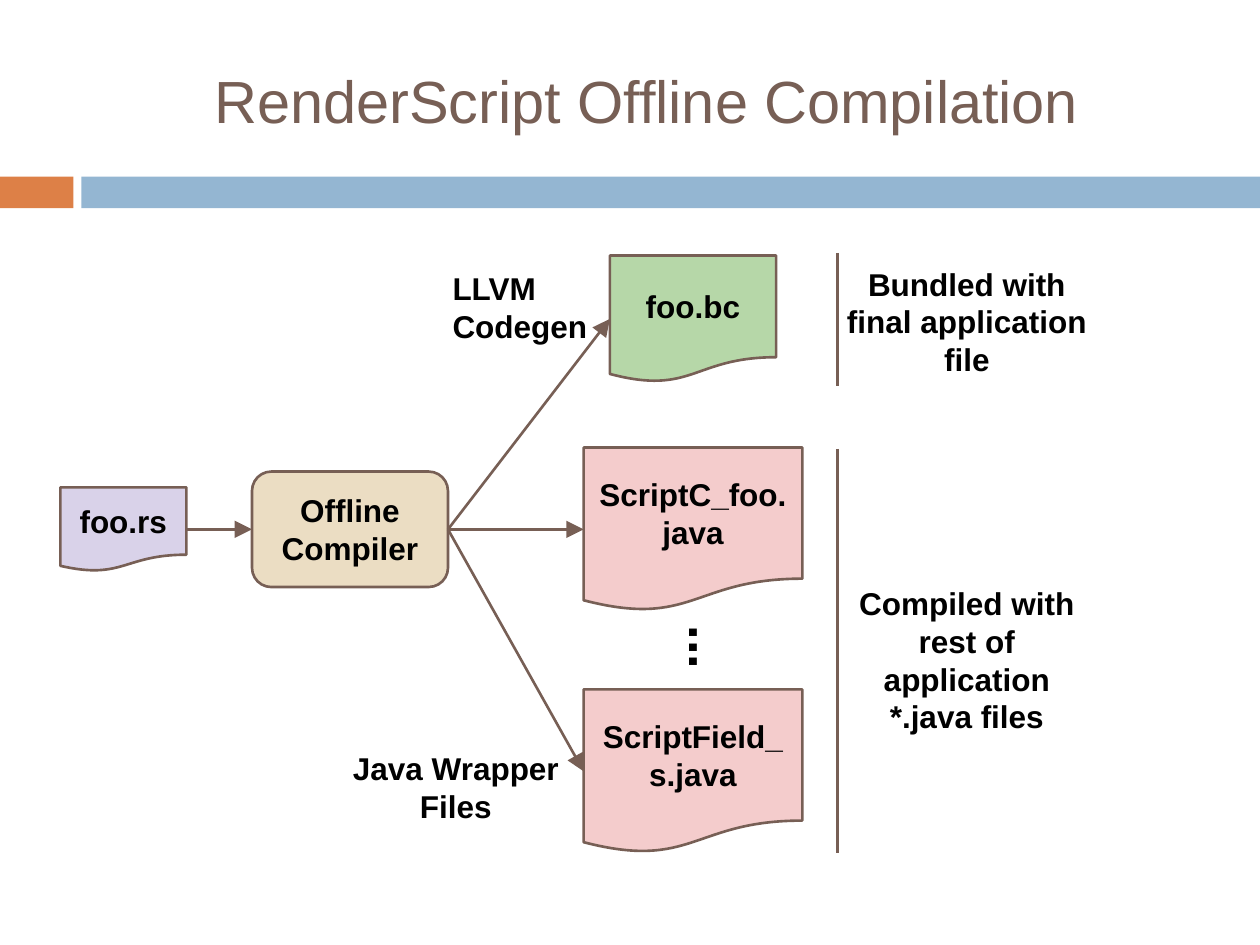
from pptx import Presentation
from pptx.dml.color import RGBColor
from pptx.enum.shapes import MSO_CONNECTOR, MSO_SHAPE
from pptx.enum.text import MSO_ANCHOR, PP_ALIGN
from pptx.oxml.ns import qn
from pptx.util import Pt
from lxml import etree

RECTANGLE = MSO_SHAPE.RECTANGLE
ROUNDED = MSO_SHAPE.ROUNDED_RECTANGLE
DOCUMENT = MSO_SHAPE.FLOWCHART_DOCUMENT
STRAIGHT = MSO_CONNECTOR.STRAIGHT
LEFT, CENTER = PP_ALIGN.LEFT, PP_ALIGN.CENTER
TOP, MIDDLE = MSO_ANCHOR.TOP, MSO_ANCHOR.MIDDLE
LEFT_SITE, RIGHT_SITE = 1, 3

SLIDE_WIDTH, SLIDE_HEIGHT = 720, 540
INSET = 7.2
OUTLINE = 1.5

COLORS = {
    "outline": "775F55",
    "title": "775F55",
    "accent": "DD8047",
    "band": "94B6D2",
    "text": "000000",
    "source": "D9D2E9",
    "compiler": "EBDDC3",
    "bitcode": "B6D7A8",
    "java": "F4CCCC",
}


def rgb(name):
    return RGBColor.from_string(COLORS[name])


def write(shape, text, size=18, color="text", bold=True, align=CENTER, anchor=MIDDLE):
    frame = shape.text_frame
    frame.word_wrap = True
    frame.vertical_anchor = anchor
    frame.margin_left = frame.margin_right = Pt(INSET)
    frame.margin_top = frame.margin_bottom = Pt(INSET)
    paragraph = frame.paragraphs[0]
    paragraph.alignment = align
    run = paragraph.add_run()
    run.text = text
    run.font.name = "Arial"
    run.font.size = Pt(size)
    run.font.bold = bold
    run.font.color.rgb = rgb(color)


def add_label(slide, box, text, anchor=TOP, **text_format):
    label = slide.shapes.add_textbox(*map(Pt, box))
    write(label, text, anchor=anchor, **text_format)
    return label


def add_block(slide, kind, box, fill):
    block = slide.shapes.add_shape(kind, *map(Pt, box))
    block.shadow.inherit = False
    block.fill.solid()
    block.fill.fore_color.rgb = rgb(fill)
    block.line.fill.background()
    return block


def add_node(slide, kind, center, size, fill, text):
    (x, y), (width, height) = center, size
    node = add_block(slide, kind, (x - width / 2, y - height / 2, width, height), fill)
    node.line.color.rgb = rgb("outline")
    node.line.width = Pt(OUTLINE)
    write(node, text)
    return node


def add_line(slide, start=(0, 0), end=(0, 0)):
    connector = slide.shapes.add_connector(STRAIGHT, *map(Pt, start + end))
    connector.line.color.rgb = rgb("outline")
    connector.line.width = Pt(OUTLINE)
    etree.SubElement(connector._element.spPr, qn("a:effectLst"))
    return connector


def add_arrow(slide, origin, target):
    arrow = add_line(slide)
    arrow.begin_connect(origin, RIGHT_SITE)
    arrow.end_connect(target, LEFT_SITE)
    outline = arrow._element.spPr.find(qn("a:ln"))
    etree.SubElement(outline, qn("a:tailEnd"), type="triangle", w="lg", len="lg")


def add_header(slide, box, title):
    left, top, width, height = box
    accent_width, gap, band_height = 42, 4.5, 18
    band_top = top + height - band_height
    band_left = accent_width + gap
    strips = [(0, accent_width, "accent"), (band_left, width - band_left, "band")]
    for offset, strip_width, fill in strips:
        add_block(slide, RECTANGLE, (left + offset, band_top, strip_width, band_height), fill)
    add_label(slide, (left + 48.5, top + 18, 642, 78), title,
              size=34, color="title", bold=False, anchor=MIDDLE)


def add_pipeline(slide, box):
    left, top, width, height = box
    bitcode_size, java_size = (95, 72.5), (125, 93.5)
    bitcode_y = top + 2 + bitcode_size[1] / 2
    main_y = top + 158.5
    last_y = top + height - java_size[1] / 2
    output_x = left + width - java_size[0] / 2

    source = add_node(slide, DOCUMENT, (left + 36, main_y), (72, 48), "source", "foo.rs")
    compiler = add_node(slide, ROUNDED, (left + 165.5, main_y), (112, 66),
                        "compiler", "Offline Compiler")
    add_arrow(slide, source, compiler)

    outputs = [
        (bitcode_y, bitcode_size, "bitcode", "foo.bc"),
        (main_y, java_size, "java", "ScriptC_foo.java"),
        (last_y, java_size, "java", "ScriptField_s.java"),
    ]
    for y, size, fill, name in outputs:
        output = add_node(slide, DOCUMENT, (output_x, y), size, fill, name)
        add_arrow(slide, compiler, output)

    ellipsis = add_label(slide, (output_x - 16, top + 232.5, 77, 25), "...",
                         size=30, align=LEFT)
    ellipsis.rotation = 90
    add_label(slide, (left + 217, top + 2.5, 112, 20), "LLVM Codegen", align=LEFT)
    add_label(slide, (left + 150.5, top + 277, 151, 20), "Java Wrapper Files")


def add_destination(slide, box, text, text_offset):
    left, top, width, height = box
    add_line(slide, (left, top), (left, top + height))
    add_label(slide, (left - 2, top + text_offset, width, 54), text)


deck = Presentation()
deck.slide_width, deck.slide_height = Pt(SLIDE_WIDTH), Pt(SLIDE_HEIGHT)
slide = deck.slides.add_slide(deck.slide_layouts[6])

add_header(slide, (0, 0, SLIDE_WIDTH, 119), "RenderScript Offline Compilation")
add_pipeline(slide, (34.5, 144, 424, 343.5))

destinations = [
    (144.5, 76, "Bundled with final application file", -0.5),
    (256.5, 231, "Compiled with rest of application *.java files", 70),
]
for top, height, text, text_offset in destinations:
    add_destination(slide, (478.5, top, 152, height), text, text_offset)

deck.save("out.pptx")
